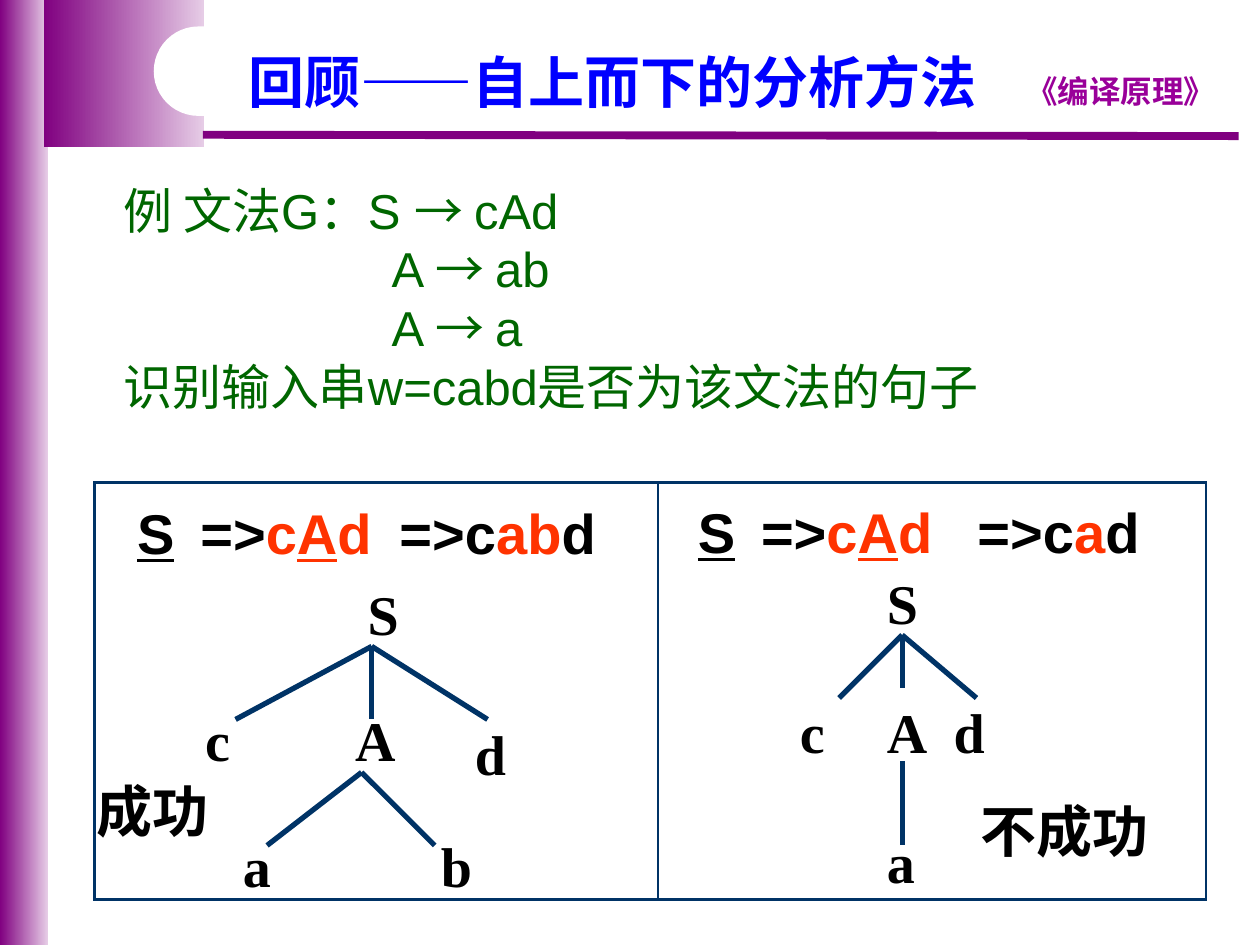
"""Builds a compiler lecture slide: top-down parsing with two derivation trees, on a grid of 100 by 75 cells."""
from dataclasses import dataclass
from typing import NamedTuple

from lxml.etree import SubElement
from pptx import Presentation
from pptx.dml.color import RGBColor
from pptx.enum.shapes import MSO_CONNECTOR, MSO_SHAPE
from pptx.enum.text import MSO_ANCHOR, MSO_AUTO_SIZE, PP_ALIGN
from pptx.oxml import parse_xml
from pptx.oxml.ns import nsdecls, qn
from pptx.util import Emu, Inches, Pt

NAVY, BLACK, RED, GREEN, PURPLE = "003366", "000000", "FF3300", "006600", "800080"
SANS, SERIF, HAN = "Arial", "Times New Roman", "Noto Sans CJK SC"


class Box(NamedTuple):
    x: float
    y: float
    w: float
    h: float


class Bit(NamedTuple):
    text: str
    hue: str = BLACK
    under: bool = False
    face: str = SANS


class Node(NamedTuple):
    text: str
    x: float
    y: float


class Fan(NamedTuple):
    start: tuple[float, float]
    ends: list[tuple[float, float]]


@dataclass
class Proof:
    x: float
    y: float
    last: Box
    word: str
    size: tuple[float, float]
    nodes: list[Node]
    fans: list[Fan]
    note: Bit
    place: Box


def cells(count: float) -> Emu:
    return Inches(count / 10)


def frame(box: Box) -> list[Emu]:
    return [cells(side) for side in box]


def paint(hue: str) -> RGBColor:
    return RGBColor.from_string(hue)


def write(para, bits: list[Bit], size: float, bold: bool = True) -> None:
    for bit in bits:
        run = para.add_run()
        run.text = bit.text
        font = run.font
        font.name, font.size, font.bold = bit.face, Pt(size), bold
        font.color.rgb = paint(bit.hue)
        if bit.under:
            font.underline = True


def label(slide, box: Box, bits: list[Bit], size: float = 32,
          align: PP_ALIGN = PP_ALIGN.JUSTIFY, wrap: bool = True) -> None:
    body = slide.shapes.add_textbox(*frame(box)).text_frame
    body.word_wrap = wrap
    if not wrap:
        body.auto_size = MSO_AUTO_SIZE.SHAPE_TO_FIT_TEXT
    para = body.paragraphs[0]
    para.alignment = align
    write(para, bits, size)


def line(slide, start: tuple, end: tuple, hue: str = NAVY, width: float = 3) -> None:
    ends = [cells(side) for side in (*start, *end)]
    link = slide.shapes.add_connector(MSO_CONNECTOR.STRAIGHT, *ends)
    link.line.color.rgb = paint(hue)
    link.line.width = Pt(width)
    SubElement(link.element.spPr, qn("a:effectLst"))


def block(slide, kind: MSO_SHAPE, box: Box, hues: list[str]) -> None:
    shape = slide.shapes.add_shape(kind, *frame(box))
    shape.shadow.inherit = False
    shape.line.fill.background()
    if len(hues) == 1:
        shape.fill.solid()
        shape.fill.fore_color.rgb = paint(hues[0])
        shape.adjustments[0] = 0.5
        return
    shape.fill.gradient()
    shape.fill.gradient_angle = 0
    for stop, hue, spot in zip(shape.fill.gradient_stops, hues, (0, 1)):
        stop.color.rgb = paint(hue)
        stop.position = spot


def grid(slide, box: Box, widths: list[float]) -> None:
    table = slide.shapes.add_table(1, len(widths), *frame(box)).table
    table.first_row = table.horz_banding = False
    for index, width in enumerate(widths):
        table.columns[index].width = cells(width)
        cell = table.cell(0, index)
        props = cell._tc.get_or_add_tcPr()
        for side in ("lnL", "lnR", "lnT", "lnB"):
            props.append(parse_xml(
                f'<a:{side} {nsdecls("a")} w="{Pt(1.47)}"><a:solidFill>'
                f'<a:srgbClr val="{NAVY}"/></a:solidFill></a:{side}>'))
        cell.fill.background()


def head(slide) -> None:
    fade = [PURPLE, "E6CCE6"]
    block(slide, MSO_SHAPE.RECTANGLE, Box(0, 0, 3.8, 75), fade)
    block(slide, MSO_SHAPE.RECTANGLE, Box(3.5, 0, 12.7, 11.7), fade)
    line(slide, (16.1, 10.7), (98.3, 10.8), PURPLE, 4.5)
    label(slide, Box(79.1, 5.2, 19.7, 4), [Bit("《编译原理》", "990099", face="Comic Neue")],
          18, PP_ALIGN.CENTER)
    block(slide, MSO_SHAPE.ROUNDED_RECTANGLE, Box(12.2, 2.1, 36.2, 7.1), ["FFFFFF"])
    title = slide.shapes.title
    title.left, title.top, title.width, title.height = frame(Box(18.7, 3.9, 60.5, 6.3))
    body = title.text_frame
    body.auto_size, body.vertical_anchor = MSO_AUTO_SIZE.NONE, MSO_ANCHOR.TOP
    para = body.paragraphs[0]
    para.alignment, para.line_spacing = PP_ALIGN.LEFT, 0.9
    write(para, [Bit("回顾——自上而下的分析方法", "0000FF")], 32)
    title.element.getparent().append(title.element)


def rules(slide) -> None:
    body = slide.shapes.add_textbox(*frame(Box(8.8, 13.8, 89.2, 20))).text_frame
    body.word_wrap = True
    rows = [("例 文法G：S ", "cAd", 0), ("A ", "ab", 21.3), ("A ", "a", 21.3),
            ("识别输入串w=cabd是否为该文法的句子", "", 0)]
    for index, (left, right, indent) in enumerate(rows):
        para = body.add_paragraph() if index else body.paragraphs[0]
        bits = [Bit(left, GREEN)]
        if right:
            bits += [Bit("→ ", GREEN, face=HAN), Bit(right, GREEN)]
        para._p.get_or_add_pPr().set("marL", str(cells(indent)))
        write(para, bits, 28, False)


def draw(slide, proof: Proof) -> None:
    steps = [
        (Box(proof.x, proof.y, 4.9, 6.4), [Bit("S", under=True)]),
        (Box(proof.x + 5, proof.y, 15.6, 6.4),
         [Bit("=>"), Bit("c", RED), Bit("A", RED, True), Bit("d", RED)]),
        (proof.last, [Bit("=>c"), Bit(proof.word, RED), Bit("d")]),
    ]
    for box, bits in steps:
        label(slide, box, bits, align=PP_ALIGN.CENTER, wrap=False)
    for node in proof.nodes:
        label(slide, Box(node.x, node.y, *proof.size), [Bit(node.text, face=SERIF)])
    for fan in proof.fans:
        for end in fan.ends:
            line(slide, fan.start, end)
    label(slide, proof.place, [proof.note])


PROOFS = [
    Proof(9.9, 39.1, Box(30.7, 39.1, 17.6, 6.4), "ab", (8.9, 6.7),
          [Node("S", 28.2, 45.5), Node("c", 15.3, 55.5), Node("A", 27.2, 55.5),
           Node("d", 36.7, 56.6), Node("a", 18.3, 65.5), Node("b", 34, 65.5)],
          [Fan((29.5, 51.3), [(18.7, 57.1), (29.5, 57.1), (38.7, 57.1)]),
           Fan((28.7, 61.3), [(21.2, 67.1), (34.5, 67.1)])],
          Bit("成功", face=SERIF), Box(6.7, 61.1, 12.6, 7.1)),
    Proof(54.4, 39, Box(76.4, 39, 15.2, 6.4), "a", (5.2, 7.7),
          [Node("S", 69.4, 44.6), Node("c", 62.5, 54.9), Node("A", 69.4, 54.9),
           Node("d", 74.7, 54.9), Node("a", 69.4, 65.2)],
          [Fan((71.6, 50.4), [(66.6, 55.4), (71.6, 54.6), (77.5, 55.4)]),
           Fan((71.6, 60.4), [(71.6, 67.1)])],
          Bit("不成功", face=SERIF), Box(76.8, 62.7, 18, 6.7)),
]


def main() -> None:
    deck = Presentation()
    deck.slide_width, deck.slide_height = cells(100), cells(75)
    slide = deck.slides.add_slide(deck.slide_layouts[5])
    head(slide)
    rules(slide)
    grid(slide, Box(7.5, 38.3, 88.2, 33.1), [44.7, 43.5])
    for proof in PROOFS:
        draw(slide, proof)
    deck.save("out.pptx")


if __name__ == "__main__":
    main()
